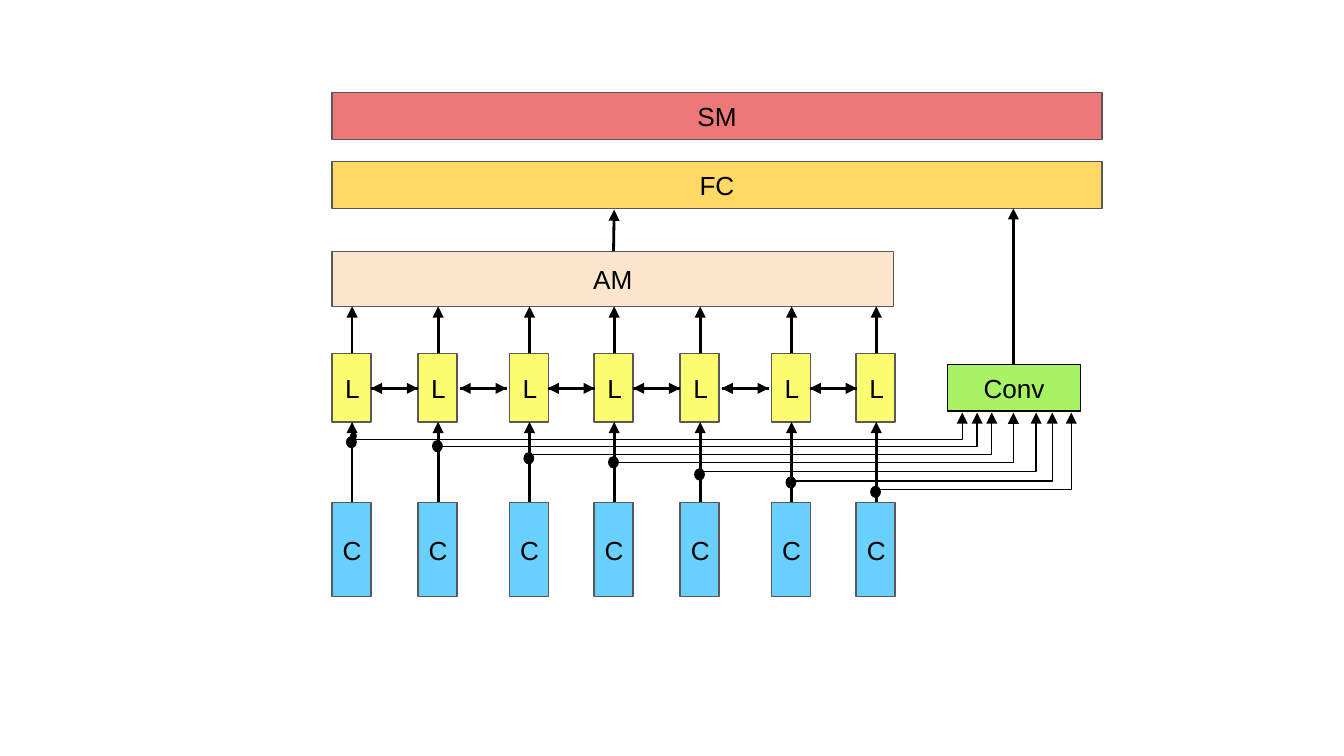
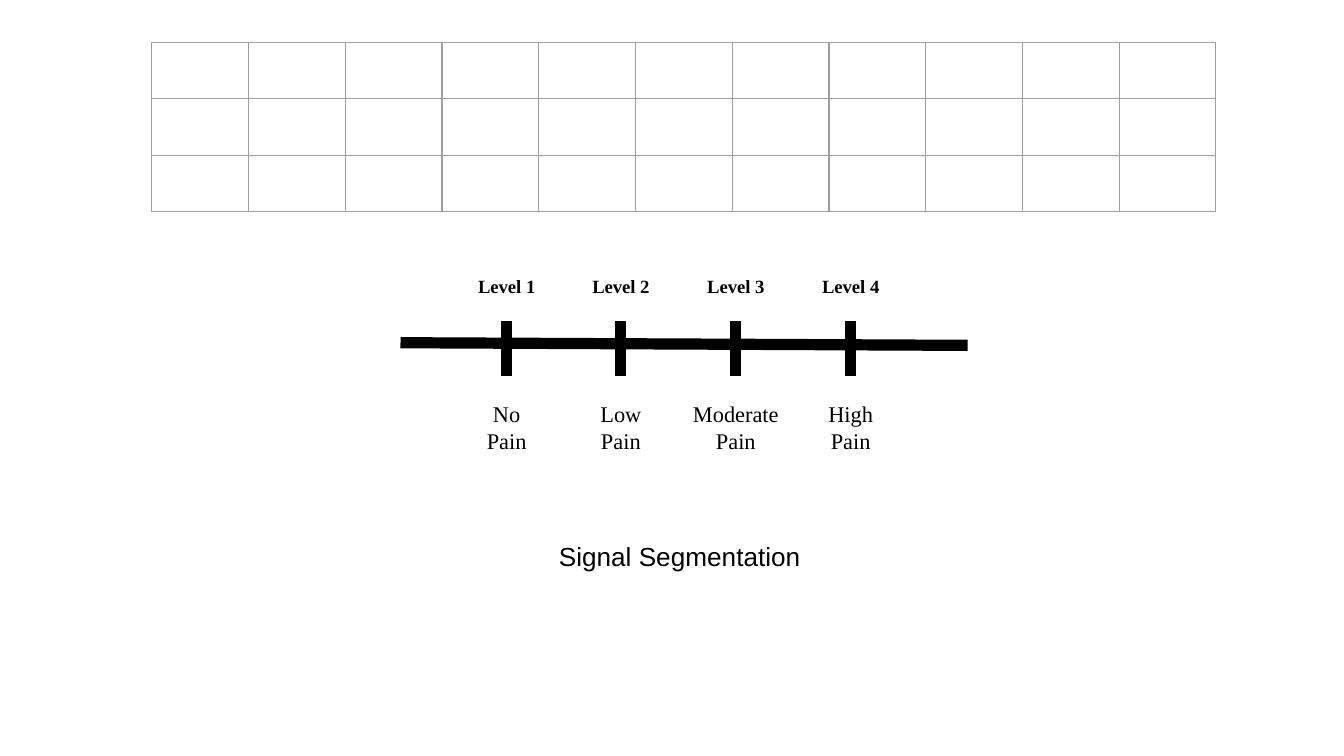
import pptx
import pptx.util
import pptx.dml.color
import pptx.enum.shapes
import pptx.enum.text
import pptx.oxml
import pptx.oxml.ns

PX = 4572
BLACK = "000000"
GRAY = "595959"
GRID = "9E9E9E"
RED = "EE7878"
GOLD = "FFD966"
PEACH = "FCE5CD"
YELLOW = "FCFC71"
GREEN = "A7F363"
BLUE = "69CFFF"

SHAPE = pptx.enum.shapes.MSO_SHAPE
CONNECTOR = pptx.enum.shapes.MSO_CONNECTOR
ALIGN = pptx.enum.text.PP_ALIGN
ANCHOR = pptx.enum.text.MSO_ANCHOR
qn = pptx.oxml.ns.qn


def px(n):
    return pptx.util.Emu(round(n * PX))


def rgb(color):
    return pptx.dml.color.RGBColor.from_string(color)


def add_child(parent, tag, **attrs):
    child = parent.makeelement(qn(tag), attrs)
    parent.append(child)
    return child


def write(tf, text, size=14, font="Arial", color=BLACK, bold=False,
          align=ALIGN.CENTER, anchor=ANCHOR.TOP):
    tf.word_wrap = True
    tf.vertical_anchor = anchor
    tf.margin_left = tf.margin_right = tf.margin_top = tf.margin_bottom = px(20)
    p = tf.paragraphs[0]
    p.alignment = align
    r = p.add_run()
    r.text = text
    r.font.size = pptx.util.Pt(size)
    r.font.name = font
    r.font.bold = bold
    r.font.color.rgb = rgb(color)


def label(s, x, y, w, h, text, **fmt):
    write(s.shapes.add_textbox(px(x), px(y), px(w), px(h)).text_frame, text, **fmt)


def block(s, x, y, w, h, fill, text="", line=GRAY, kind=SHAPE.RECTANGLE, **fmt):
    sp = s.shapes.add_shape(kind, px(x), px(y), px(w), px(h))
    sp.shadow.inherit = False
    sp.fill.solid()
    sp.fill.fore_color.rgb = rgb(fill)
    sp.line.color.rgb = rgb(line)
    sp.line.width = pptx.util.Pt(0.75)
    if text:
        write(sp.text_frame, text, anchor=ANCHOR.MIDDLE, **fmt)


def dot(s, cx, cy, w=14, h=16):
    block(s, cx - w / 2, cy - h / 2, w, h, BLACK, line=BLACK, kind=SHAPE.OVAL)


def connect(s, x1, y1, x2, y2, width=1.5, arrow=True, kind=CONNECTOR.STRAIGHT):
    cx = s.shapes.add_connector(kind, px(x1), px(y1), px(x2), px(y2))
    cx.line.color.rgb = rgb(BLACK)
    cx.line.width = pptx.util.Pt(width)
    if arrow:
        add_child(cx.line._get_or_add_ln(), "a:tailEnd", type="triangle")
    sppr = cx._element.spPr
    add_child(sppr, "a:effectLst")
    return sppr


def elbow(s, x1, y1, x2, y2):
    sppr = connect(s, x1, y1, x2, y2, width=0.75, kind=CONNECTOR.ELBOW)
    xfrm = sppr.find(qn("a:xfrm"))
    xfrm.attrib.pop("flipV", None)
    xfrm.set("rot", "10800000")
    xfrm.set("flipH", "1")
    sppr.find(qn("a:prstGeom")).set("prst", "bentConnector2")


def column_lefts(x):
    return [x + 390 * (i // 3) + (0, 128, 264)[i % 3] for i in range(7)]


def head_layers(s, x, y, w):
    block(s, x, y, w, 70, RED, "SM")
    block(s, x, y + 102, w, 70, GOLD, "FC")
    block(s, x, y + 236, 836, 82, PEACH, "AM")
    connect(s, x + 419, y + 236, x + 420, y + 174)


def l_row(s, x, y, w, h):
    lefts = column_lefts(x)
    for left in lefts:
        block(s, left, y, w, h, YELLOW, "L", align=ALIGN.LEFT)
        connect(s, left + 30, y, left + 30, y - 70)
    for left, right in zip(lefts, lefts[1:]):
        mid = (left + w + right) / 2
        connect(s, mid - 35, y + 52, mid + 35, y + 52)
        connect(s, mid + 35, y + 52, mid - 35, y + 52)


def c_row(s, x, y, w, h):
    for left in column_lefts(x):
        connect(s, left + 30, y, left + 30, y - 120)
        block(s, left, y, w, h, BLUE)
        label(s, left - 22, y + 27, 104, 90, "C")


def conv_branch(s, x, y, w, h, row_x):
    block(s, x, y, w, h, GREEN, "Conv", line=BLACK)
    connect(s, x + 98, y, x + 98, y - 232)
    taps = [(22, 112, 116), (44, 122, 122), (66, 134, 140), (98, 146, 146),
            (132, 160, 164), (156, 174, 176), (184, 186, 190)]
    for left, (port, wire_y, dot_y) in zip(column_lefts(row_x), taps):
        elbow(s, left + 30, y + wire_y, x + port, y + h + 2)
        dot(s, left + 29, y + dot_y)
    dot(s, row_x + 32, y + 107, 8, 10)


def network_slide(prs):
    s = prs.slides.add_slide(prs.slide_layouts[6])
    head_layers(s, 494, 138, 1146)
    l_row(s, 494, 526, 58, 102)
    c_row(s, 494, 748, 58, 140)
    conv_branch(s, 1410, 542, 198, 70, 494)


def segment_grid(s, x, y, w, h, rows, cols):
    table = s.shapes.add_table(rows, cols, px(x), px(y), px(w), px(h)).table
    table.first_row = table.horz_banding = False
    for col in table.columns:
        col.width = px(w / cols)
    for row in table.rows:
        row.height = px(h / rows)
    for cell in table.iter_cells():
        tcpr = cell._tc.get_or_add_tcPr()
        for side in "LRTB":
            ln = add_child(tcpr, "a:ln" + side, w="9525")
            add_child(add_child(ln, "a:solidFill"), "a:srgbClr", val=GRID)
        cell.fill.background()


def pain_scale(s, x, y, w):
    serif = "Times New Roman"
    connect(s, x, y, x + w, y + 4, width=6, arrow=False)
    levels = [("No Pain", 120), ("Low Pain", 120), ("Moderate Pain", 184), ("High Pain", 120)]
    for i, (pain, width) in enumerate(levels):
        cx = x + 158 + 512 * i // 3
        connect(s, cx, y - 32, cx, y + 50, width=6, arrow=False)
        label(s, cx - 87, y - 118, 174, 76, f"Level {i + 1}", size=10, font=serif, bold=True)
        label(s, cx - width // 2, y + 66, width, 100, pain, size=12, font=serif)


def segmentation_slide(prs):
    s = prs.slides.add_slide(prs.slide_layouts[6])
    pain_scale(s, 596, 510, 844)
    label(s, 812, 784, 414, 76, "Signal Segmentation", align=ALIGN.LEFT)
    segment_grid(s, 226, 63, 1584, 252, 3, 11)


def main():
    prs = pptx.Presentation()
    prs.slide_width = px(2000)
    prs.slide_height = px(1125)
    network_slide(prs)
    segmentation_slide(prs)
    prs.save("out.pptx")


if __name__ == "__main__":
    main()
